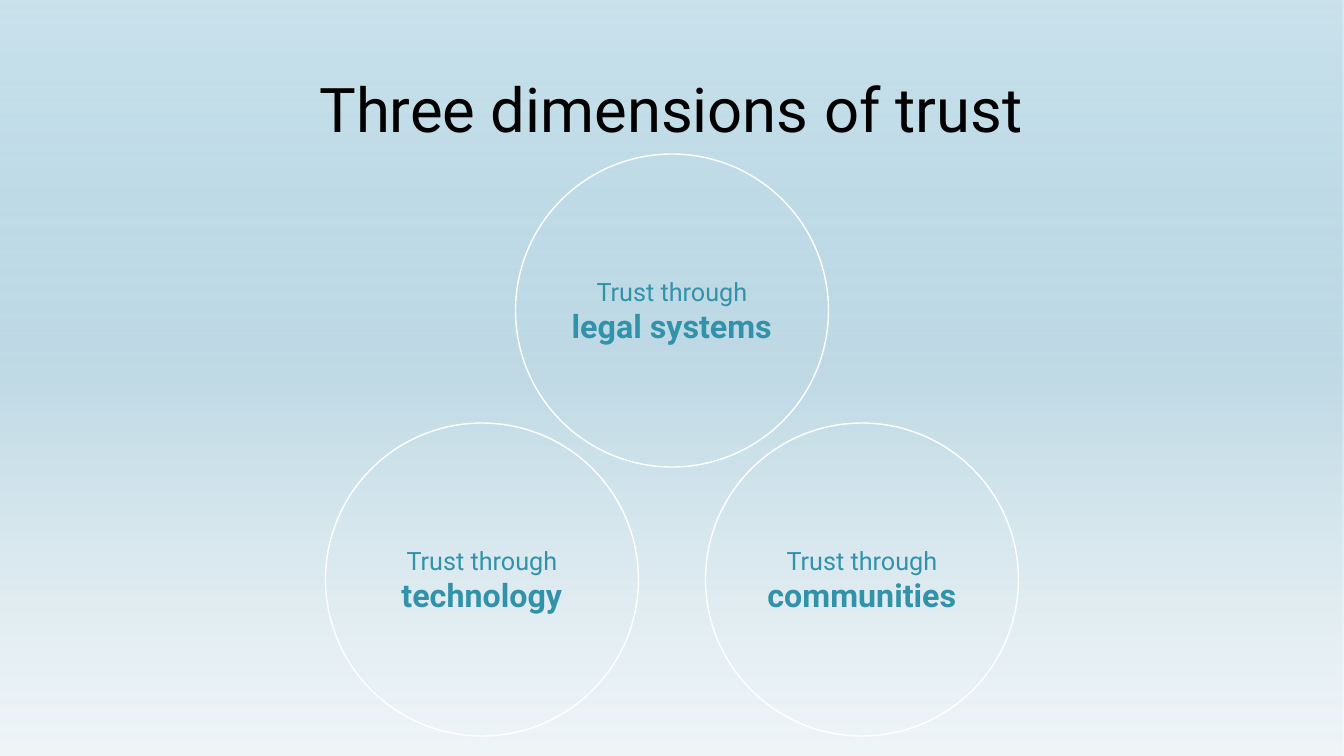
from pptx import Presentation
from pptx.dml.color import RGBColor
from pptx.enum import shapes, text
from pptx.oxml import parse_xml
from pptx.oxml.ns import nsdecls
from pptx.util import Pt

TITLE = "Three dimensions of trust"
LEAD = "Trust through "
DIMENSIONS = [("legal systems", 0, 0), ("technology", -1, 1), ("communities", 1, 1)]
SKY_STOPS = [(0, "96C6D9", 50), (50, "C0DAE5", 100), (100, "E0ECF2", 50)]

FONT = "Roboto"
TEAL = RGBColor(0x32, 0x92, 0xAA)
WHITE = RGBColor(0xFF, 0xFF, 0xFF)
BLACK = RGBColor(0x00, 0x00, 0x00)

WIDTH, HEIGHT = 1344, 756
EMU_PER_PX = 12192000 / WIDTH
TITLE_BOX = (38, 40, 1267, 146)
DIAMETER = 313
TOP = 154
STEP_X, STEP_Y = 190, 269


def px(*lengths):
    return [round(length * EMU_PER_PX) for length in lengths]


def style(run, size, color, bold=False):
    run.font.name = FONT
    run.font.size = Pt(size)
    run.font.bold = bold
    run.font.color.rgb = color


def add_sky(slide):
    sky = slide.shapes.add_shape(shapes.MSO_SHAPE.RECTANGLE, *px(0, 0, WIDTH, HEIGHT))
    sky.shadow.inherit = False
    sky.line.fill.background()
    sky.fill.gradient()
    sky.fill.gradient_angle = 270
    stops = sky.element.spPr.find(".//{*}gsLst")
    for stop in list(stops):
        stops.remove(stop)
    for position, color, opacity in SKY_STOPS:
        stops.append(parse_xml(
            f'<a:gs {nsdecls("a")} pos="{position * 1000}"><a:srgbClr val="{color}">'
            f'<a:alpha val="{opacity * 1000}"/></a:srgbClr></a:gs>'))


def add_circle(slide, name, column, row):
    left = (WIDTH - DIAMETER) / 2 + column * STEP_X
    top = TOP + row * STEP_Y
    circle = slide.shapes.add_shape(
        shapes.MSO_SHAPE.OVAL, *px(left, top, DIAMETER, DIAMETER))
    circle.shadow.inherit = False
    circle.fill.background()
    circle.line.color.rgb = WHITE
    circle.line.width = Pt(1)
    frame = circle.text_frame
    frame.word_wrap = True
    frame.vertical_anchor = text.MSO_ANCHOR.MIDDLE
    paragraph = frame.paragraphs[0]
    paragraph.alignment = text.PP_ALIGN.CENTER
    for words, size, bold in [(LEAD, 18, False), (name, 23, True)]:
        run = paragraph.add_run()
        run.text = words
        style(run, size, TEAL, bold)


def set_title(slide):
    title = slide.shapes.title
    title.left, title.top, title.width, title.height = px(*TITLE_BOX)
    frame = title.text_frame
    frame.text = TITLE
    frame.word_wrap = True
    frame.vertical_anchor = text.MSO_ANCHOR.MIDDLE
    paragraph = frame.paragraphs[0]
    paragraph.alignment = text.PP_ALIGN.CENTER
    paragraph.line_spacing = 0.9
    style(paragraph.runs[0], 44, BLACK)
    slide.shapes.element.append(title.element)


def main():
    presentation = Presentation()
    presentation.slide_width, presentation.slide_height = px(WIDTH, HEIGHT)
    slide = presentation.slides.add_slide(presentation.slide_layouts[5])
    add_sky(slide)
    for dimension in DIMENSIONS:
        add_circle(slide, *dimension)
    set_title(slide)
    presentation.save("out.pptx")


if __name__ == "__main__":
    main()
